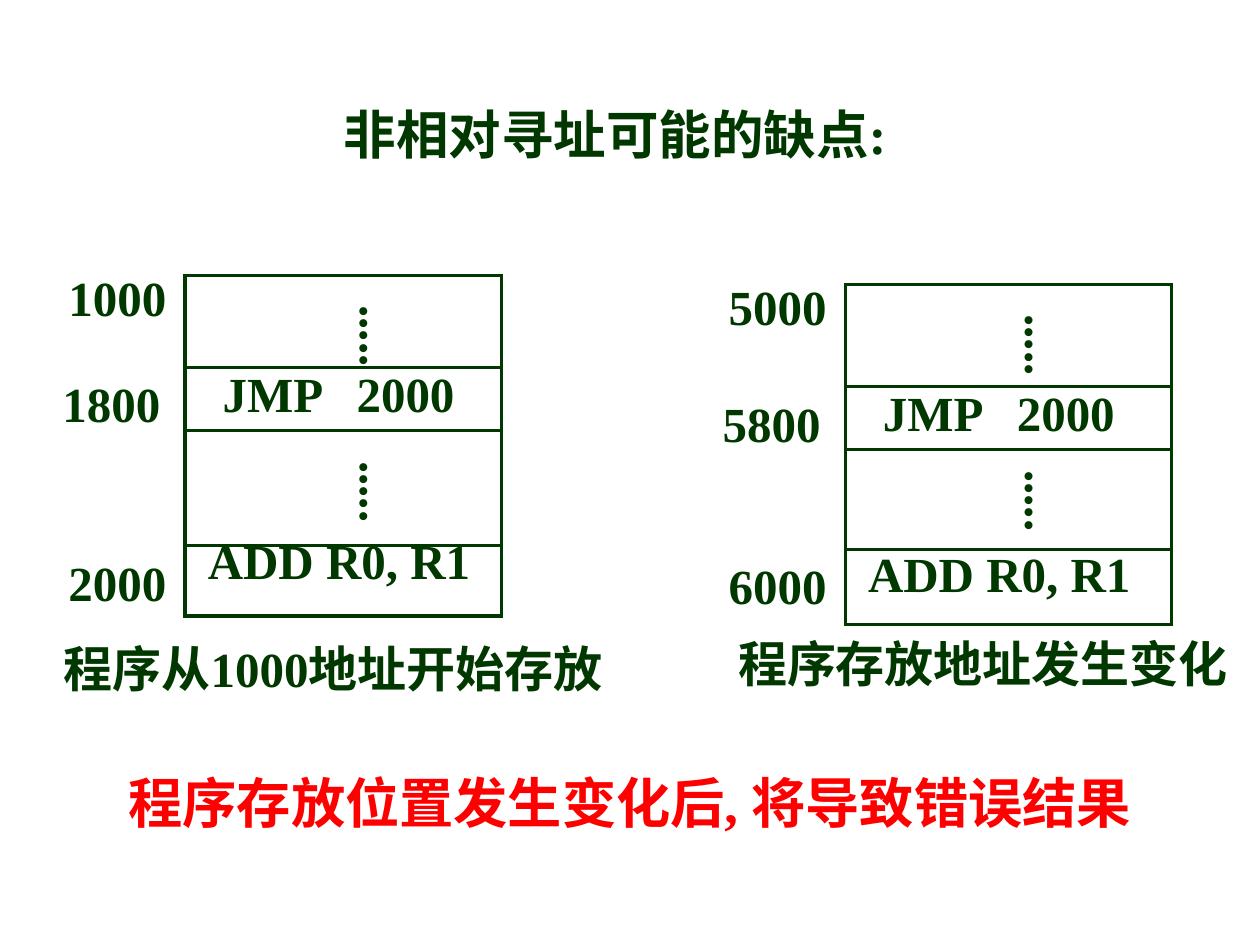
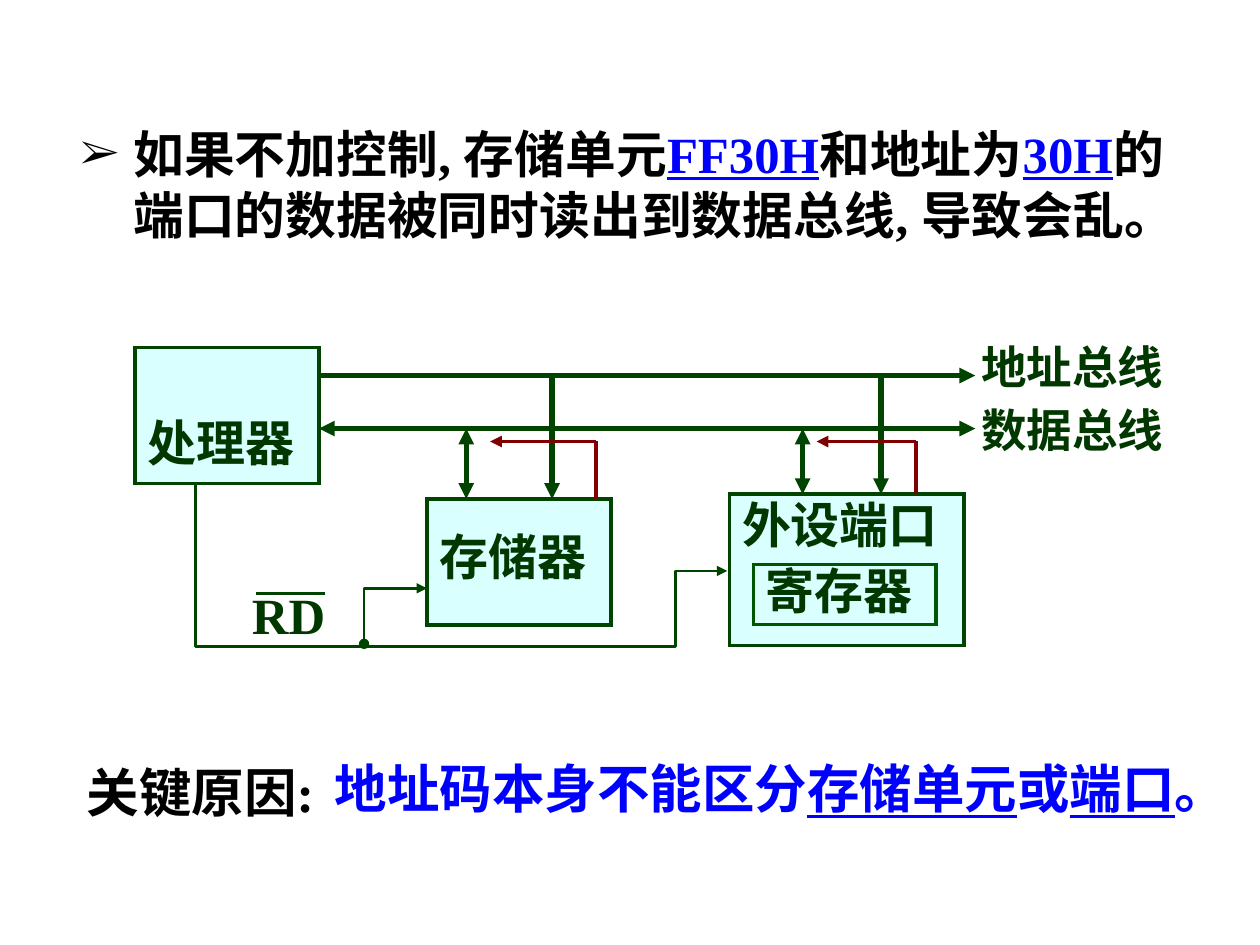
from lxml.etree import SubElement
from pptx import Presentation
from pptx.dml.color import RGBColor
from pptx.enum.shapes import MSO_CONNECTOR, MSO_SHAPE
from pptx.enum.text import MSO_ANCHOR, MSO_AUTO_SIZE, PP_ALIGN
from pptx.oxml.ns import qn
from pptx.util import Cm, Pt

SERIF, SANS = "Times New Roman", "Noto Sans CJK SC"
INK, LINE, REGISTER_LINE = "003800", "004400", "005600"
BLACK, BLUE, RED, MAROON, PALE = "000000", "0000FF", "FF0000", "800000", "D9FFFF"


def rgb(value):
    """Turn a hex string into a colour."""
    return RGBColor.from_string(value)


def add_run(p, text, size, color=INK, font=SERIF, underline=False):
    """Add one bold run with Latin and East Asian fonts."""
    r = p.add_run()
    r.text = text
    r.font.size, r.font.bold, r.font.name = Pt(size), True, font
    r.font.color.rgb = rgb(color)
    if underline:
        r.font.underline = True
    SubElement(r.font._element, qn("a:ea")).set("typeface", SANS)


def prepare_frame(sp, left=0.25, top=0.13):
    """Set wrapping, insets and anchor, and return the first paragraph."""
    tf = sp.text_frame
    tf.word_wrap = True
    tf.auto_size = MSO_AUTO_SIZE.NONE
    tf.vertical_anchor = MSO_ANCHOR.TOP
    tf.margin_left, tf.margin_right = Cm(left), Cm(0.25)
    tf.margin_top, tf.margin_bottom = Cm(top), Cm(0.13)
    p = tf.paragraphs[0]
    p.alignment = PP_ALIGN.LEFT
    return p


def add_text(s, x, y, w, text, size, color=INK, h=1.45):
    """Add a text box holding one run."""
    sp = s.shapes.add_textbox(Cm(x), Cm(y), Cm(w), Cm(h))
    add_run(prepare_frame(sp), text, size, color)
    return sp


def add_dots(s, x, y):
    """Add a vertical ellipsis."""
    sp = add_text(s, x, y, 1.7, ".....", 28, h=2.08)
    sp.text_frame._txBody.bodyPr.set("vert", "eaVert")


def add_box(s, x, y, w, h, line, width, fill=None):
    """Add a rectangle with square corners."""
    sp = s.shapes.add_shape(MSO_SHAPE.RECTANGLE, Cm(x), Cm(y), Cm(w), Cm(h))
    sp.shadow.inherit = False
    if fill:
        sp.fill.solid()
        sp.fill.fore_color.rgb = rgb(fill)
    else:
        sp.fill.background()
    sp.line.color.rgb, sp.line.width = rgb(line), Pt(width)
    ln = sp._element.spPr.find(qn("a:ln"))
    SubElement(ln, qn("a:miter")).set("lim", "800000")
    return sp


def style_line(sp, color, width, head=None, tail=None):
    """Format a line and its ends."""
    sp.line.color.rgb, sp.line.width = rgb(color), Pt(width)
    ln = sp._element.spPr.find(qn("a:ln"))
    for tag, kind in (("a:headEnd", head), ("a:tailEnd", tail)):
        if kind:
            SubElement(ln, qn(tag)).set("type", kind)


def add_line(s, x1, y1, x2, y2, color, width, head=None, tail=None):
    """Add a straight connector without a shadow."""
    sp = s.shapes.add_connector(MSO_CONNECTOR.STRAIGHT, Cm(x1), Cm(y1), Cm(x2), Cm(y2))
    style_line(sp, color, width, head, tail)
    SubElement(sp._element.spPr, qn("a:effectLst"))


def add_path(s, points, head=None):
    """Add an open bent line ending in an arrow."""
    corners = [(Cm(x), Cm(y)) for x, y in points]
    builder = s.shapes.build_freeform(*corners[0])
    builder.add_line_segments(corners[1:], close=False)
    sp = builder.convert_to_shape()
    sp.fill.background()
    sp.shadow.inherit = False
    style_line(sp, LINE, 1.5, head, "triangle")


def add_title(s, text):
    """Place and format the slide title."""
    sp = s.shapes.title
    sp.left, sp.top, sp.width, sp.height = Cm(6.68), Cm(1.93), Cm(13.23), Cm(1.52)
    add_run(prepare_frame(sp), text, 30)


def memory_map(s, x, y, w, rules, labels, gap):
    """Draw a memory block with its instructions, rules and addresses."""
    h = 6.86
    sp = add_box(s, x, y, w, h, INK, 1.75)
    p = prepare_frame(sp, 0.46, rules[0] - 0.08)
    tabs = SubElement(p._p.get_or_add_pPr(), qn("a:tabLst"))
    for stop in (0.3, 3):
        tab = SubElement(tabs, qn("a:tab"))
        tab.set("pos", str(Cm(stop)))
        tab.set("algn", "l")
    add_run(p, "\tJMP\t2000", 28)
    p = sp.text_frame.add_paragraph()
    p.alignment = PP_ALIGN.LEFT
    p.space_before = Pt(gap)
    add_run(p, "ADD R0, R1", 28)
    for rule in rules:
        add_line(s, x, y + rule, x + w, y + rule, INK, 1.75)
    for dots_y in (0.47, 3.61):
        add_dots(s, x + w / 2 - 0.12, y + dots_y)
    label_tops = (-0.3, rules[0], rules[2])
    for text, dx, label_y in zip(labels, (2.6, 2.72, 2.6), label_tops):
        add_text(s, x - dx, y + label_y, 2.8, text, 28)


def device(s, x, y, w, h, text, pad, spacing=1.0):
    """Draw a filled block with its name."""
    sp = add_box(s, x, y, w, h, LINE, 2, PALE)
    p = prepare_frame(sp, top=pad)
    p.line_spacing = spacing
    add_run(p, text, 28, font=SANS)


def bus_taps(s, x, address_y, data_y, y, tap, drop, back, back_end):
    """Connect a device with top left corner x, y to both buses."""
    add_line(s, x + drop, address_y, x + drop, y, LINE, 3, tail="triangle")
    add_line(s, x + tap, data_y, x + tap, y, LINE, 3, "triangle", "triangle")
    bend = data_y + 0.26
    add_line(s, x + back, y, x + back, bend, MAROON, 2.25)
    add_line(s, x + back, bend, x + back_end, bend, MAROON, 2.25, tail="triangle")


def bus_diagram(s, x, y):
    """Draw the processor, memory and port on the shared buses."""
    address_y, data_y, bus_end = y + 0.56, y + 1.63, x + 16.94
    memory_x, port_x = x + 5.89, x + 11.99
    memory_y, port_y = y + 3.05, y + 2.95
    device(s, x, y, 3.71, 2.74, "处理器", 1.31)
    device(s, memory_x, memory_y, 3.71, 2.54, "存储器", 0.55)
    device(s, port_x, port_y, 4.72, 3.05, "外设端口", 0.15, 0.9)
    register = add_box(s, port_x + 0.48, port_y + 1.42, 3.68, 1.22, REGISTER_LINE, 1.75)
    p = prepare_frame(register, top=0.15)
    p.line_spacing = 0.8
    add_run(p, "寄存器", 28)
    buses = (("地址总线", address_y, 0.86, None),
             ("数据总线", data_y, 0.66, "triangle"))
    for name, bus_y, rise, head in buses:
        add_line(s, x + 3.71, bus_y, bus_end, bus_y, LINE, 3, head, "triangle")
        add_text(s, bus_end - 0.13, bus_y - rise, 5, name, 26)
    bus_taps(s, memory_x, address_y, data_y, memory_y, 0.79, 2.52, 3.41, 1.27)
    bus_taps(s, port_x, address_y, data_y, port_y, 1.47, 3.05, 3.76, 1.75)
    read_y = y + 6.02
    add_path(s, [(x + 1.22, y + 2.77), (x + 1.22, read_y), (x + 10.9, read_y),
                 (x + 10.9, y + 4.5), (port_x - 0.05, y + 4.5)])
    add_path(s, [(x + 4.62, read_y - 0.05), (x + 4.62, y + 4.85),
                 (memory_x, y + 4.85)], "oval")
    add_text(s, x + 2.11, y + 4.62, 2.49, "RD", 29)
    add_line(s, x + 2.44, y + 4.95, x + 3.84, y + 4.95, LINE, 1.5)


def problem_statement(s, x, y):
    """Write the bulleted statement above the diagram."""
    sp = s.shapes.add_textbox(Cm(x), Cm(y), Cm(23.16), Cm(2.74))
    p = prepare_frame(sp)
    pPr = p._p.get_or_add_pPr()
    pPr.set("marL", str(Cm(1.07)))
    pPr.set("indent", str(-Cm(1.07)))
    SubElement(pPr, qn("a:buSzPct")).set("val", "83000")
    SubElement(pPr, qn("a:buFont")).set("typeface", SERIF)
    SubElement(pPr, qn("a:buChar")).set("char", "➢")
    add_run(p, "如果不加控制, 存储单元", 29, BLACK)
    add_run(p, "FF30H", 29, BLUE, underline=True)
    add_run(p, "和地址为", 29, BLACK)
    add_run(p, "30H", 29, BLUE, underline=True)
    add_run(p, "的端口的数据被同时读出到数据总线, 导致会乱。", 29, BLACK)


def key_reason(s, x, y):
    """Write the conclusion under the diagram."""
    add_text(s, x, y, 5.46, "关键原因:", 30, BLACK)
    sp = s.shapes.add_textbox(Cm(x + 5), Cm(y - 0.08), Cm(18.69), Cm(1.52))
    p = prepare_frame(sp)
    parts = (("地址码本身不能区分", False), ("存储单元", True), ("或", False),
             ("端口", True), ("。", False))
    for text, underline in parts:
        add_run(p, text, 30, BLUE, underline=underline)


def relocation_slide(prs):
    """Build the slide on programs moved in memory."""
    s = prs.slides.add_slide(prs.slide_layouts[5])
    add_title(s, "非相对寻址可能的缺点:")
    memory_map(s, 3.73, 5.56, 6.38, (1.85, 3.12, 5.44), ("1000", "1800", "2000"), 62)
    memory_map(s, 17.04, 5.74, 6.58, (2.06, 3.33, 5.33), ("5000", "5800", "6000"), 58)
    add_text(s, 1.04, 12.75, 11.71, "程序从1000地址开始存放", 28, h=2.6)
    add_text(s, 14.63, 12.65, 10.82, "程序存放地址发生变化", 28)
    add_text(s, 2.34, 15.37, 22.38, "程序存放位置发生变化后, 将导致错误结果", 31, RED)


def conflict_slide(prs):
    """Build the slide on the bus conflict."""
    s = prs.slides.add_slide(prs.slide_layouts[6])
    problem_statement(s, 1.37, 2.34)
    bus_diagram(s, 2.72, 7.01)
    key_reason(s, 1.5, 15.19)


def main():
    """Build and save the presentation."""
    prs = Presentation()
    prs.slide_width, prs.slide_height = Cm(25.4), Cm(19.05)
    relocation_slide(prs)
    conflict_slide(prs)
    prs.save("out.pptx")


if __name__ == "__main__":
    main()
